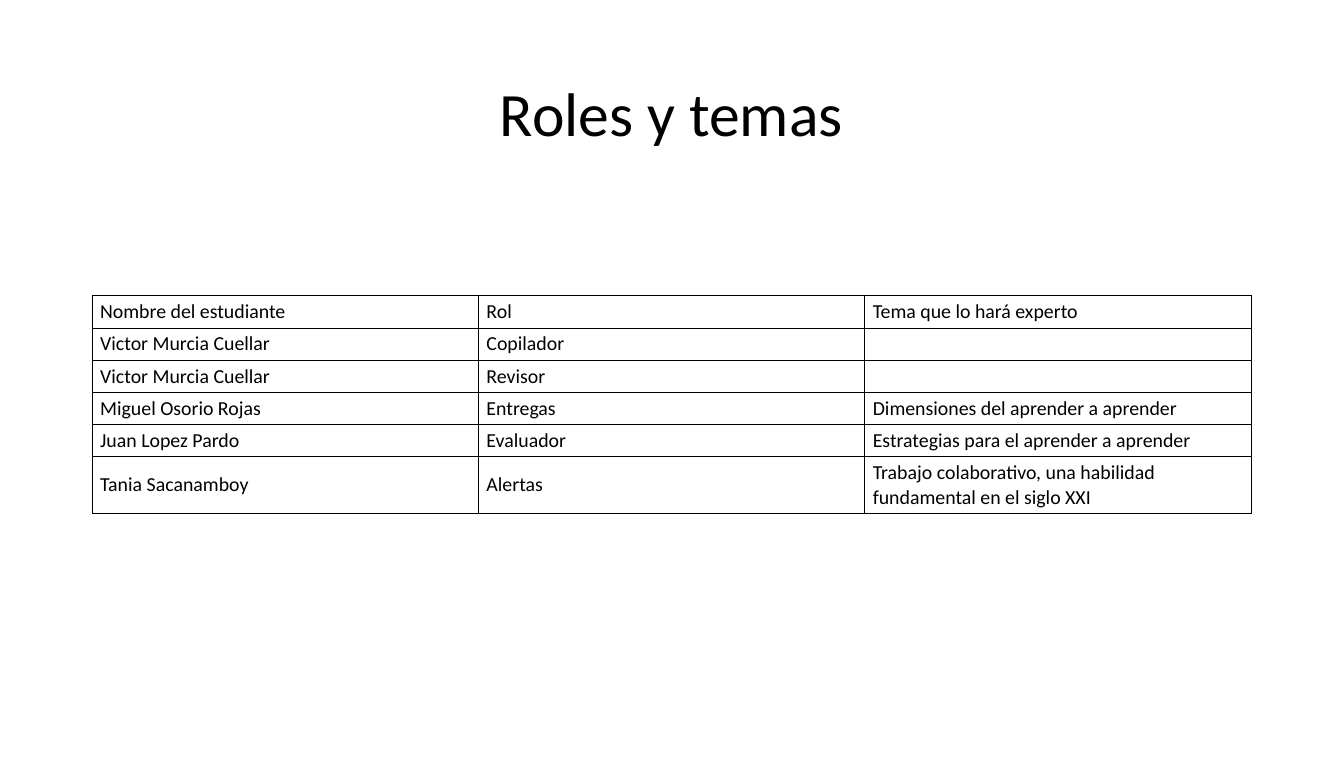
from dataclasses import dataclass

from lxml import etree
from pptx import Presentation
from pptx.dml.color import RGBColor
from pptx.enum.text import MSO_ANCHOR, PP_ALIGN
from pptx.oxml.ns import qn
from pptx.util import Cm, Pt

MIDDLE = MSO_ANCHOR.MIDDLE
CENTER = PP_ALIGN.CENTER
BLANK_LAYOUT = 6


@dataclass(frozen=True)
class Theme:
    font: str = "Calibri"
    ink: str = "000000"
    paper: str = "FFFFFF"
    title_size: float = 55.9
    table_size: float = 18
    border_width: float = 0.75


THEME = Theme()

TITLE = "Roles y temas"
ROLES = [
    ("Nombre del estudiante", "Rol", "Tema que lo hará experto"),
    ("Victor Murcia Cuellar", "Copilador", ""),
    ("Victor Murcia Cuellar", "Revisor", ""),
    ("Miguel Osorio Rojas", "Entregas", "Dimensiones del aprender a aprender"),
    ("Juan Lopez Pardo", "Evaluador", "Estrategias para el aprender a aprender"),
    ("Tania Sacanamboy", "Alertas",
     "Trabajo colaborativo, una habilidad fundamental en el siglo XXI"),
]
ROW_HEIGHT = Cm(1.03)
LAST_ROW_HEIGHT = Cm(1.82)
COLUMN_WIDTH = Cm(12.36)


def write_text(paragraph, text, size):
    run = paragraph.add_run()
    run.text = text
    for name, value in {"name": THEME.font, "size": Pt(size)}.items():
        setattr(run.font, name, value)
    run.font.color.rgb = RGBColor.from_string(THEME.ink)


def add_title(slide, text):
    shape = slide.shapes.add_textbox(Cm(15.54), Cm(2.54), Cm(11.89), Cm(2.41))
    frame = shape.text_frame
    for name, value in {"word_wrap": False, "vertical_anchor": MIDDLE}.items():
        setattr(frame, name, value)
    paragraph = frame.paragraphs[0]
    for name, value in {"alignment": CENTER, "line_spacing": 0.9}.items():
        setattr(paragraph, name, value)
    write_text(paragraph, text, THEME.title_size)


def add_borders(cell):
    """Draw a solid line on all four sides; lines must precede the cell fill."""
    properties = cell._tc.get_or_add_tcPr()
    for position, side in enumerate(("lnL", "lnR", "lnT", "lnB")):
        line = etree.Element(qn(f"a:{side}"), w=str(Pt(THEME.border_width)))
        fill = etree.SubElement(line, qn("a:solidFill"))
        etree.SubElement(fill, qn("a:srgbClr"), val=THEME.ink)
        properties.insert(position, line)


def format_cell(cell, text):
    cell.vertical_anchor = MIDDLE
    cell.fill.solid()
    cell.fill.fore_color.rgb = RGBColor.from_string(THEME.paper)
    add_borders(cell)
    if text:
        write_text(cell.text_frame.paragraphs[0], text, THEME.table_size)


def add_roles_table(slide, rows):
    column_count = len(rows[0])
    height = ROW_HEIGHT * (len(rows) - 1) + LAST_ROW_HEIGHT
    table = slide.shapes.add_table(
        len(rows), column_count, Cm(2.95), Cm(9.47),
        COLUMN_WIDTH * column_count, height).table
    for name, value in {"first_row": False, "horz_banding": False}.items():
        setattr(table, name, value)
    for column in table.columns:
        column.width = COLUMN_WIDTH
    for row in table.rows:
        row.height = ROW_HEIGHT
    table.rows[len(rows) - 1].height = LAST_ROW_HEIGHT
    for row, texts in zip(table.rows, rows):
        for cell, text in zip(row.cells, texts):
            format_cell(cell, text)


def main():
    presentation = Presentation()
    presentation.slide_width = Cm(43)
    presentation.slide_height = Cm(25)
    slide = presentation.slides.add_slide(presentation.slide_layouts[BLANK_LAYOUT])
    add_roles_table(slide, ROLES)
    add_title(slide, TITLE)
    presentation.save("out.pptx")


if __name__ == "__main__":
    main()
